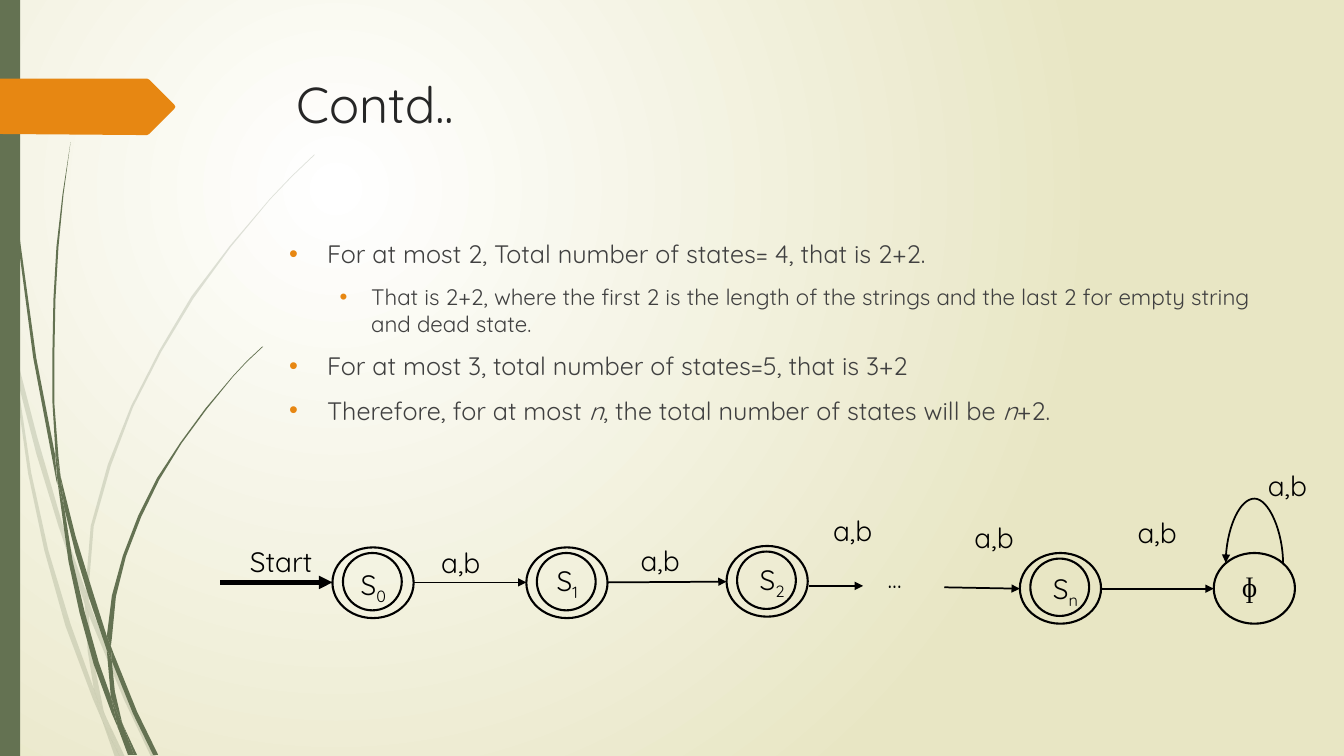
from lxml import etree
from pptx import Presentation
from pptx import util as u
from pptx.dml.color import RGBColor
from pptx.enum import shapes, text
from pptx.oxml.ns import qn

Pt = u.Pt
BLACK = RGBColor(0x00, 0x00, 0x00)
WHITE = RGBColor(0xFF, 0xFF, 0xFF)
CREAM = RGBColor(0xE8, 0xE6, 0xC4)
GREEN = RGBColor(0x64, 0x72, 0x52)
ORANGE = RGBColor(0xE7, 0x87, 0x12)
TITLE_GREY = RGBColor(0x26, 0x26, 0x26)
BODY_GREY = RGBColor(0x40, 0x40, 0x40)

# Outline corners as x, y pairs on a grid of 0.72 pt
GRID = Pt(0.72)
PALE_BLADES = [
    (11, 350, 9, 322, 0, 282, 0, 299, 10, 344),
    (58, 522, 84, 599, 85, 586, 62, 520, 37, 434, 14, 345, 17, 376, 36, 450),
    (92, 607, 88, 596, 88, 610, 123, 694, 150, 751, 155, 751, 127, 692),
    (119, 751, 124, 751, 105, 711),
    (93, 683, 70, 619, 48, 546, 31, 469, 17, 376, 11, 350, 28, 470, 44, 546,
     65, 621, 92, 693, 101, 714, 99, 707),
    (84, 599, 87, 646, 93, 683, 96, 692, 105, 711, 103, 706, 91, 646, 88, 610, 88, 608),
    (88, 584, 93, 522, 110, 462, 132, 404, 160, 349, 192, 296, 229, 245, 268, 198,
     290, 175, 312, 154, 312, 153, 289, 175, 268, 197, 228, 244, 190, 294, 158, 348,
     130, 403, 107, 461, 90, 522, 85, 584, 85, 586, 88, 596),
    (101, 714, 114, 751, 119, 751),
    (88, 608, 88, 610, 88, 596, 85, 586, 84, 599),
    (96, 692, 93, 683, 99, 707, 101, 714, 119, 751, 105, 711),
]
DARK_BLADES = [
    (7, 110, 17, 233, 33, 355, 56, 477, 57, 481, 55, 457, 55, 453, 36, 355, 19, 232,
     8, 109, 5, 48, 4, 0, 3, 0, 4, 48),
    (88, 592, 106, 645, 106, 631, 93, 590, 75, 532, 60, 472, 64, 505, 75, 549),
    (113, 649, 110, 641, 111, 656, 132, 708, 152, 749, 157, 749, 136, 706),
    (110, 691, 98, 657, 84, 607, 72, 556, 64, 505, 57, 477, 68, 557, 79, 608,
     93, 659, 111, 708, 117, 722, 116, 717),
    (60, 472, 58, 453, 54, 401, 54, 349, 55, 297, 58, 245, 63, 193, 70, 141, 62, 193,
     56, 245, 53, 297, 52, 349, 52, 399, 55, 449),
    (133, 749, 136, 749, 122, 719),
    (57, 477, 64, 505, 60, 472, 55, 449, 55, 453),
    (111, 633, 115, 592, 125, 552, 140, 513, 158, 476, 180, 440, 205, 406, 231, 374,
     245, 359, 261, 344, 260, 344, 245, 358, 231, 373, 204, 405, 179, 439, 156, 474,
     137, 512, 122, 551, 111, 591, 106, 631, 110, 641),
    (117, 722, 127, 749, 131, 749),
    (106, 645, 110, 691, 116, 706, 122, 719, 121, 716, 114, 686, 111, 656, 109, 651),
    (106, 645, 109, 651, 111, 656, 110, 641, 106, 631),
    (116, 706, 110, 691, 116, 717, 117, 722, 130, 749, 133, 749, 122, 719),
]
TAG = (173, 108, 148, 133, 146, 134, 136, 134, 0, 133, 0, 78, 146, 78, 148, 79, 173, 104, 174, 106)


class Canvas:
    """Holds the text style and the slide being drawn."""

    font = "Quicksand"

    def __init__(self, page):
        self.page = page

    def background(self, inner, outer):
        """Fill the slide with a round glow centred in its upper left."""
        fill = self.page.background.fill
        fill.gradient()
        for stop, position, color in zip(fill.gradient_stops, (0, 1), (inner, outer)):
            stop.position, stop.color.rgb = position, color
        linear = next(self.page.element.iter(qn("a:lin")))
        glow = etree.Element(qn("a:path"), path="circle")
        etree.SubElement(glow, qn("a:fillToRect"), l="50000", t="50000", r="100000", b="100000")
        linear.getparent().replace(linear, glow)

    def paint(self, shape, color):
        """Give a shape a plain fill, without line or shadow."""
        shape.shadow.inherit = False
        shape.fill.solid()
        shape.fill.fore_color.rgb = color
        shape.line.fill.background()

    def outline(self, corners, color, alpha=None, parent=None):
        """Draw a closed, filled outline."""
        points = list(zip(corners[::2], corners[1::2]))
        builder = (parent or self.page).shapes.build_freeform(*points[0], scale=GRID)
        shape = builder.add_line_segments(points[1:], close=True).convert_to_shape()
        self.paint(shape, color)
        if alpha:
            tint = shape.element.spPr.find(qn("a:solidFill"))[0]
            etree.SubElement(tint, qn("a:alpha"), val=str(alpha * 1000))

    def blades(self, outlines, alpha=None):
        """Draw a group of grass blades."""
        group = self.page.shapes.add_group_shape()
        for corners in outlines:
            self.outline(corners, GREEN, alpha, group)

    def bar(self, left, top, width, height, color):
        """Draw a filled rectangle."""
        frame = map(Pt, (left, top, width, height))
        self.paint(self.page.shapes.add_shape(shapes.MSO_SHAPE.RECTANGLE, *frame), color)

    def ring(self, left, top, width, height):
        """Draw an unfilled ellipse."""
        frame = map(Pt, (left, top, width, height))
        shape = self.page.shapes.add_shape(shapes.MSO_SHAPE.OVAL, *frame)
        shape.shadow.inherit = False
        shape.fill.background()
        shape.line.color.rgb, shape.line.width = BLACK, Pt(1.5)

    def text_box(self, left, top, width, height):
        """Add an empty wrapping text box and return its frame."""
        box = self.page.shapes.add_textbox(*map(Pt, (left, top, width, height)))
        box.text_frame.word_wrap = True
        box.text_frame.vertical_anchor = text.MSO_ANCHOR.TOP
        return box.text_frame

    def style(self, para, size, color, font=None):
        """Set the font of a whole paragraph."""
        para.font.name, para.font.size = font or self.font, Pt(size)
        para.font.color.rgb = color

    def label(self, words, left, top, width=60, height=32, size=20, color=BLACK, font=None, sub=""):
        """Write one paragraph, with an optional subscript."""
        para = self.text_box(left, top, width, height).paragraphs[0]
        para.add_run().text = words
        if sub:
            span = para.add_run()
            span.text = sub
            span.font._element.set("baseline", "-25000")
        self.style(para, size, color, font)

    def bullets(self, items, left, top, width, height):
        """Write a list of (level, spans); every second span is italic."""
        frame = self.text_box(left, top, width, height)
        for number, (level, spans) in enumerate(items):
            para = frame.add_paragraph() if number else frame.paragraphs[0]
            para.level, para.space_before = level, Pt(10)
            margin, hang, size = ((27, 27, 18), (58.5, 22.5, 16))[level]
            props = para._p.get_or_add_pPr()
            props.set("marL", str(Pt(margin)))
            props.set("indent", str(-Pt(hang)))
            color = etree.SubElement(props, qn("a:buClr"))
            etree.SubElement(color, qn("a:srgbClr"), val=str(ORANGE))
            etree.SubElement(props, qn("a:buFont"), typeface="Arial")
            etree.SubElement(props, qn("a:buChar"), char="•")
            for index, words in enumerate(spans):
                span = para.add_run()
                span.text = words
                if index % 2:
                    span.font.italic = True
            self.style(para, size, BODY_GREY)

    def arrow(self, x1, y1, x2, y2, width=1.25, kind=shapes.MSO_CONNECTOR.STRAIGHT):
        """Draw a connector with a head at its end."""
        link = self.page.shapes.add_connector(kind, *map(Pt, (x1, y1, x2, y2)))
        link.line.color.rgb, link.line.width = BLACK, Pt(width)
        etree.SubElement(link.line._get_or_add_ln(), qn("a:tailEnd"), type="triangle")
        etree.SubElement(link._element.spPr, qn("a:effectLst"))
        return link

    def loop(self, x1, y1, x2, y2, bend):
        """Draw a curved arrow turned upwards, bulging by bend times its depth."""
        link = self.arrow(x1, y1, x2, y2, kind=shapes.MSO_CONNECTOR.CURVE)
        props = link._element.spPr
        props.find(qn("a:xfrm")).set("rot", "16200000")
        preset = props.find(qn("a:prstGeom"))
        guides = preset.find(qn("a:avLst"))
        if guides is None:
            guides = etree.SubElement(preset, qn("a:avLst"))
        etree.SubElement(guides, qn("a:gd"), name="adj1", fmla=f"val {round(bend * 100000)}")

    def state(self, left, top, name, sub, shift, drop, final=True, width=35.5, font=None):
        """Draw an automaton state, with a double ring when it accepts."""
        self.ring(left, top, 58, 50.5)
        if final:
            self.ring(left + 7.5, top + 4, 42, 41)
        self.label(name, left + shift, top + drop, width, font=font, sub=sub)


deck = Presentation()
deck.slide_width, deck.slide_height = Pt(960), Pt(540)
canvas = Canvas(deck.slides.add_slide(deck.slide_layouts[6]))
canvas.background(WHITE, CREAM)
canvas.blades(PALE_BLADES, alpha=20)
canvas.blades(DARK_BLADES)
canvas.bar(0, 0, 14.4, 540, GREEN)
canvas.outline(TAG, ORANGE)

canvas.label("Contd..", 204.5, 49, 702, 101, size=36, color=TITLE_GREY)
canvas.bullets([
    (0, ["For at most 2, Total number of states= 4, that is 2+2."]),
    (1, ["That is 2+2, where the first 2 is the length of the strings and the last 2 "
         "for empty string and dead state."]),
    (0, ["For at most 3, total number of states=5, that is 3+2"]),
    (0, ["Therefore, for at most", " n", ", the total number of states will be ", "n", "+2."]),
], 199.5, 167, 702, 297)

canvas.state(237.5, 391, "S", "0", 13, 11, width=32.5)
canvas.state(376, 391, "S", "1", 14.5, 8)
canvas.state(519, 390, "S", "2", 16.5, 8)
canvas.state(728.5, 395, "S", "n", 16.5, 9.5)
canvas.state(867, 395, "ɸ", "", 13, 8, final=False, font="Times New Roman")

canvas.arrow(157.5, 416, 237.5, 416, width=3.25)
for ends in [(296, 416, 376, 416), (434, 416, 519, 415.5), (578, 418.5, 616.5, 418.5),
             (674.5, 419.5, 728.5, 420.5), (787, 420.5, 867, 420.5)]:
    canvas.arrow(*ends)
canvas.loop(895.5, 423, 896.5, 382, bend=47.2)

canvas.label("Start", 171.5, 385.5, width=66)
for left, top in [(308, 386), (450.5, 385), (588, 363.5), (689, 368.5), (805.5, 365), (898.5, 331)]:
    canvas.label("a,b", left, top)
canvas.label("…", 627, 399, size=18)

deck.save("out.pptx")
